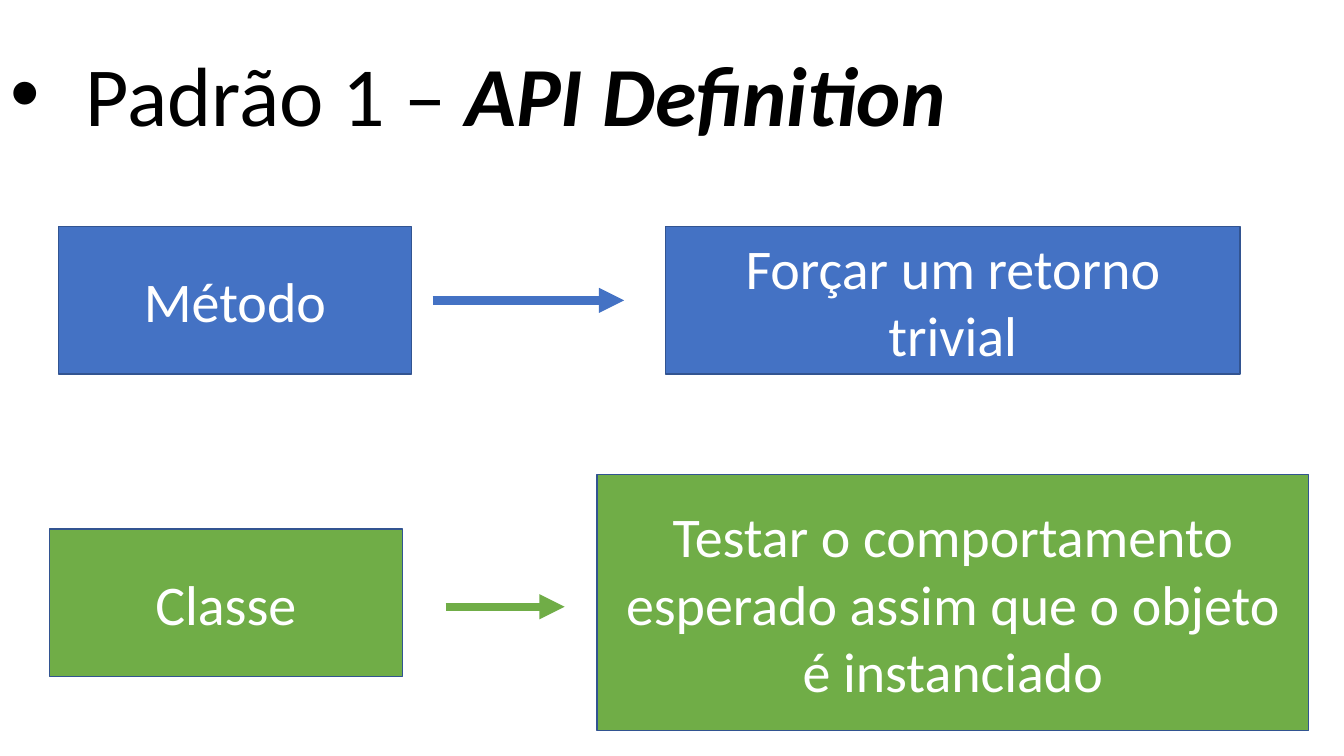
from pptx import Presentation
from pptx.dml.color import RGBColor
from pptx.enum.shapes import MSO_CONNECTOR, MSO_SHAPE
from pptx.enum.text import MSO_ANCHOR, MSO_AUTO_SIZE, PP_ALIGN
from pptx.oxml.ns import qn
from pptx.util import Emu, Pt
from lxml.etree import SubElement

EMU_PER_PX = 9144
BLUE, GREEN, BORDER = "4472C4", "70AD47", "325491"
WHITE, BLACK = "FFFFFF", "000000"
CONCEPT_WIDTH, CONCEPT_HEIGHT = 350, 146


def px(length):
    return Emu(round(length * EMU_PER_PX))


def color(value):
    return RGBColor.from_string(value)


def add_run(paragraph, text, size, hex_color, emphasis=False):
    run = paragraph.add_run()
    run.text = text
    font = run.font
    font.name, font.size = "Calibri", Pt(size)
    font.color.rgb = color(hex_color)
    font.bold = font.italic = emphasis


def add_heading(slide, box):
    heading = slide.shapes.title
    heading.left, heading.top, heading.width, heading.height = map(px, box)
    frame = heading.text_frame
    frame.word_wrap = True
    frame.auto_size = MSO_AUTO_SIZE.SHAPE_TO_FIT_TEXT
    frame.vertical_anchor = MSO_ANCHOR.TOP
    paragraph = frame.paragraphs[0]
    paragraph.alignment = PP_ALIGN.LEFT
    properties = paragraph._p.get_or_add_pPr()
    properties.set("marL", str(px(75)))
    properties.set("indent", str(-px(75)))
    SubElement(properties, qn("a:buFont"), typeface="Arial")
    SubElement(properties, qn("a:buChar"), char="•")
    add_run(paragraph, "Padrão 1 – ", 60, BLACK)
    add_run(paragraph, "API Definition", 60, BLACK, emphasis=True)


def add_card(slide, box, text, fill):
    card = slide.shapes.add_shape(MSO_SHAPE.RECTANGLE, *map(px, box))
    card.shadow.inherit = False
    card.fill.solid()
    card.fill.fore_color.rgb = color(fill)
    card.line.color.rgb = color(BORDER)
    card.line.width = Pt(1)
    frame = card.text_frame
    frame.word_wrap = True
    frame.vertical_anchor = MSO_ANCHOR.MIDDLE
    paragraph = frame.paragraphs[0]
    paragraph.alignment = PP_ALIGN.CENTER
    add_run(paragraph, text, 40, WHITE)


def add_arrow(slide, left, middle, length, hex_color):
    arrow = slide.shapes.add_connector(
        MSO_CONNECTOR.STRAIGHT, px(left), px(middle), px(left + length), px(middle))
    arrow.line.color.rgb = color(hex_color)
    arrow.line.width = Pt(6)
    SubElement(arrow.line._get_or_add_ln(), qn("a:tailEnd"), type="triangle")
    SubElement(arrow._element.spPr, qn("a:effectLst"))


def add_rule(slide, box, concept, action, action_width, arrow, fill):
    left, top, width, height = box
    middle = top + height / 2
    gap, length, drop = arrow
    add_card(slide, (left, middle - CONCEPT_HEIGHT / 2, CONCEPT_WIDTH, CONCEPT_HEIGHT),
             concept, fill)
    add_card(slide, (left + width - action_width, top, action_width, height), action, fill)
    add_arrow(slide, left + CONCEPT_WIDTH + gap, middle + drop, length, fill)


def main():
    deck = Presentation()
    deck.slide_width, deck.slide_height = px(1333), px(750)
    slide = deck.slides.add_slide(deck.slide_layouts[5])
    add_heading(slide, (0, 37, 1321, 111))
    add_rule(slide, (58, 225, 1172, 146), "Método", "Forçar um retorno trivial",
             570, (21, 190, 0), BLUE)
    add_rule(slide, (49, 471, 1249, 254), "Classe",
             "Testar o comportamento esperado assim que o objeto é instanciado",
             706, (43, 118, 4), GREEN)
    deck.save("out.pptx")


if __name__ == "__main__":
    main()
